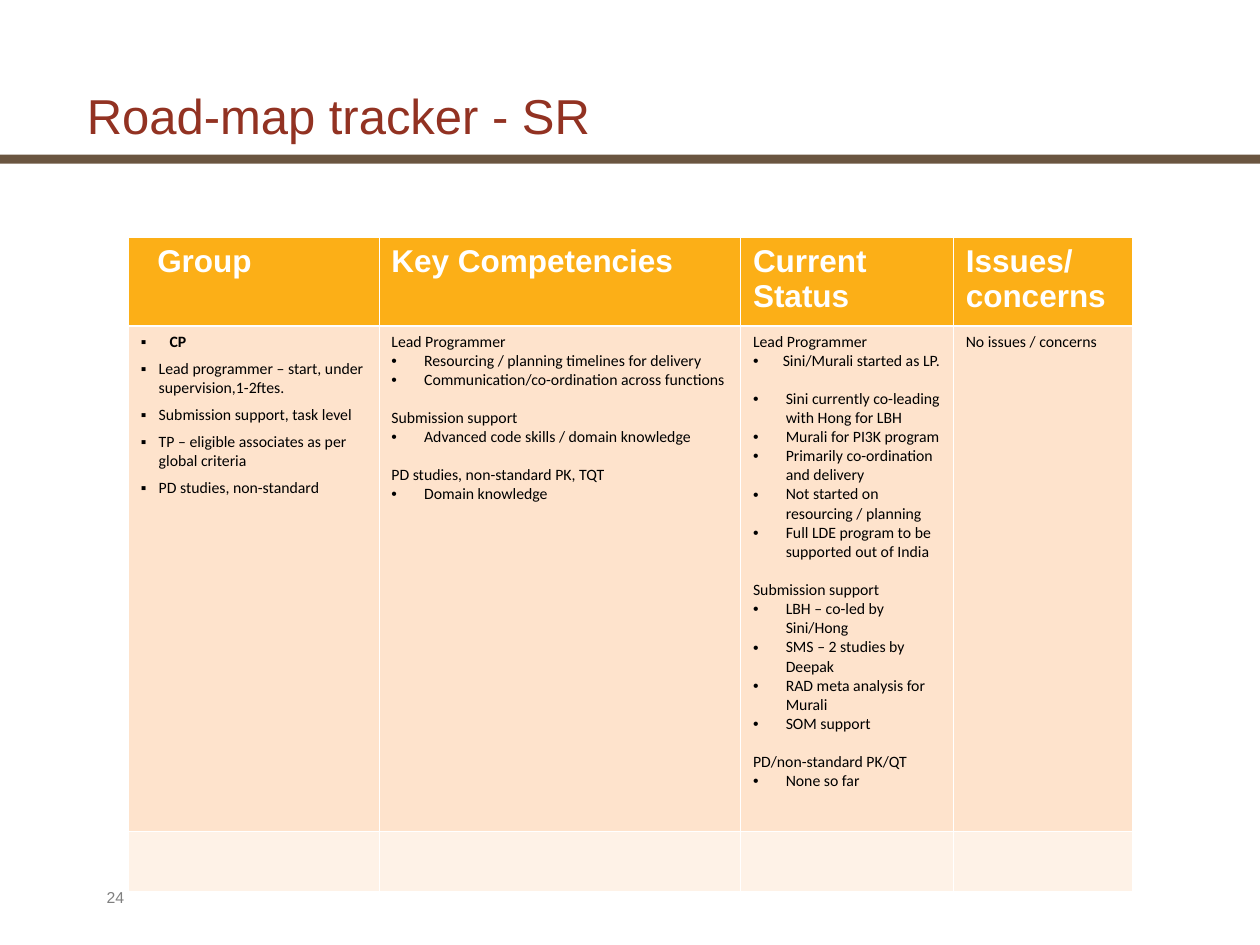
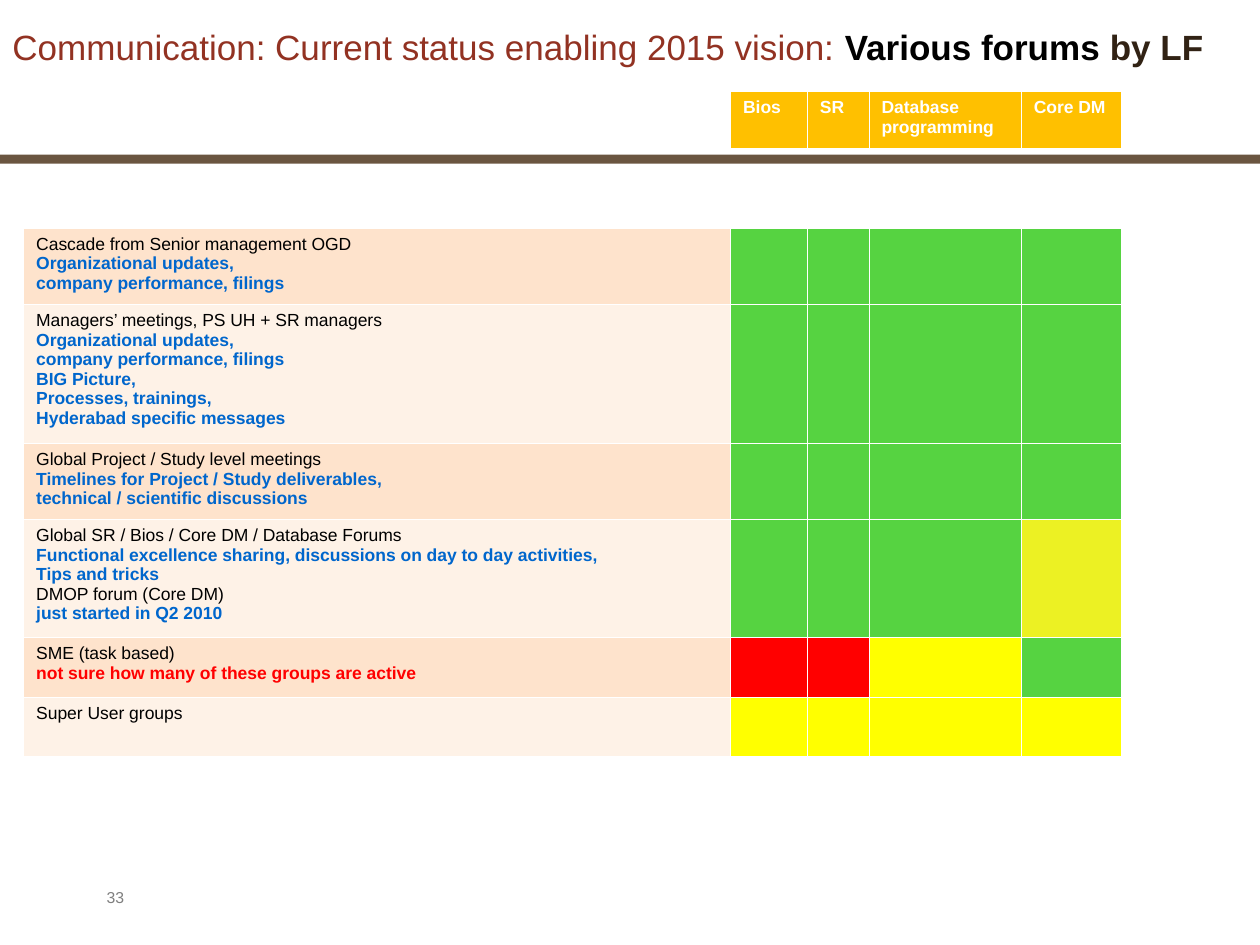
from dataclasses import dataclass
from functools import partial

from lxml import etree
from pptx import Presentation
from pptx.dml.color import RGBColor as Rgb
from pptx.enum.shapes import MSO_SHAPE as Shape
from pptx.enum.text import MSO_ANCHOR as Anchor, MSO_AUTO_SIZE as Fit, PP_ALIGN as Align
from pptx.oxml.ns import qn
from pptx.util import Cm, Pt

COLORS = {
    "white": "FFFFFF", "black": "000000", "title": "923222", "dark": "312214",
    "band": "6A5540", "gray": "7F7F7F", "amber": "FCAF17", "gold": "FFC000",
    "peach": "FEE3CC", "cream": "FEF2E7", "blue": "0066CC", "green": "56D341",
    "lime": "ECF123", "yellow": "FFFF00", "red": "FF0000",
}
GAP = 10.8
THIN, THICK = 0.45, 1.47


@dataclass(frozen=True)
class Line:
    """One paragraph; inset is in centimetres, before and after in points."""
    text: str
    size: float = 9
    color: str = "black"
    bold: bool = False
    font: str = "Arial"
    mark: str = ""
    inset: float = 0
    before: float = 0
    after: float = 0


@dataclass(frozen=True)
class Box:
    """One table cell; without a fill name it stays clear."""
    lines: tuple = ()
    fill: str = ""


@dataclass(frozen=True)
class Grid:
    """Place and track sizes of a table, in centimetres."""
    left: float
    top: float
    cols: tuple
    rows: tuple


def rgb(name: str) -> Rgb:
    return Rgb.from_string(COLORS[name])


def put(para, text: str, *, size: float, color: str = "black",
        bold: bool = False, font: str = "Arial") -> None:
    """Add a formatted run to a paragraph."""
    run = para.add_run()
    run.text = text
    run.font.size = Pt(size)
    run.font.name = font
    run.font.bold = bold
    run.font.color.rgb = rgb(color)


def indent(para, inset: float, mark: str) -> None:
    """Set the left margin and, with a mark, a hanging bullet."""
    props = para._p.get_or_add_pPr()
    props.set("marL", str(Cm(inset)))
    props.set("indent", str(-Cm(inset) if mark else 0))
    if mark:
        etree.SubElement(props, qn("a:buFont"), typeface="Arial")
        etree.SubElement(props, qn("a:buChar"), char=mark)


def write(frame, lines: tuple) -> None:
    for i, line in enumerate(lines):
        para = frame.paragraphs[0] if i == 0 else frame.add_paragraph()
        indent(para, line.inset, line.mark)
        para.alignment = Align.LEFT
        para.space_before = Pt(line.before)
        para.space_after = Pt(line.after)
        put(para, line.text, size=line.size, color=line.color,
            bold=line.bold, font=line.font)


def edge(cell, side: str, width: float) -> None:
    """Draw one white cell border."""
    line = etree.SubElement(cell._tc.get_or_add_tcPr(), qn(f"a:ln{side}"),
                            w=str(Pt(width)))
    fill = etree.SubElement(line, qn("a:solidFill"))
    etree.SubElement(fill, qn("a:srgbClr"), val=COLORS["white"])


def add_grid(slide, grid: Grid, rows: list) -> None:
    frame = slide.shapes.add_table(
        len(grid.rows), len(grid.cols), Cm(grid.left), Cm(grid.top),
        Cm(sum(grid.cols)), Cm(sum(grid.rows)))
    table = frame.table
    for col, width in zip(table.columns, grid.cols):
        col.width = Cm(width)
    for row, height in zip(table.rows, grid.rows):
        row.height = Cm(height)
    for r, row in enumerate(rows):
        for c, box in enumerate(row):
            cell = table.cell(r, c)
            cell.margin_left, cell.margin_right = Cm(0.25), Cm(0.24)
            cell.margin_top = cell.margin_bottom = Cm(0.13)
            edge(cell, "L", THIN)
            edge(cell, "R", THIN)
            edge(cell, "T", THICK if r == 1 else THIN)
            edge(cell, "B", THICK if r == 0 else THIN)
            if box.fill:
                cell.fill.solid()
                cell.fill.fore_color.rgb = rgb(box.fill)
            else:
                cell.fill.background()
            write(cell.text_frame, box.lines)


def add_page(deck, number: str):
    """Start a slide with the shared band and page number."""
    slide = deck.slides.add_slide(deck.slide_layouts[5])
    band = slide.shapes.add_shape(Shape.RECTANGLE, 0, Cm(3.12), Cm(25.4), Cm(0.18))
    band.shadow.inherit = False
    band.fill.solid()
    band.fill.fore_color.rgb = rgb("band")
    band.line.fill.background()
    foot = slide.shapes.add_textbox(Cm(1.9), Cm(17.78), Cm(17.98), Cm(0.69))
    foot.text_frame.word_wrap = True
    write(foot.text_frame, (Line(number, color="gray"),))
    return slide


def set_title(slide, place: tuple, size: float, parts: tuple, anchor, pad: float) -> None:
    """Fill the title from (text, colour, bold) parts; pad is the top and bottom inset."""
    title = slide.shapes.title
    title.left, title.top, title.width, title.height = map(Cm, place)
    frame = title.text_frame
    frame.auto_size = Fit.NONE
    frame.word_wrap = True
    frame.vertical_anchor = anchor
    frame.margin_left = frame.margin_right = Cm(0.25)
    frame.margin_top = frame.margin_bottom = Cm(pad)
    para = frame.paragraphs[0]
    para.alignment = Align.LEFT
    para.line_spacing = 0.95
    for text, color, bold in parts:
        put(para, text, size=size, color=color, bold=bold)


head = partial(Line, size=18, color="white", bold=True)
plain = partial(Line, font="Calibri")
task = partial(plain, mark="▪", inset=0.36, after=4.5)
point = partial(plain, mark="•", inset=0.66)
forum = partial(Line, size=10)
note = partial(forum, color="blue", bold=True)
label = partial(forum, color="white", bold=True)


def add_tracker(deck) -> None:
    slide = add_page(deck, "24")
    set_title(slide, (1.5, 1.7, 23.04, 1.37), 28,
              (("Road-map tracker - SR", "title", False),), Anchor.BOTTOM, 0.13)
    heads = (head("Group", inset=0.33), head("Key Competencies"),
             head("Current Status"), head("Issues/concerns"))
    group = (
        task("CP", bold=True, inset=0.58),
        task("Lead programmer – start, under supervision,1-2ftes."),
        task("Submission support, task level"),
        task("TP – eligible associates as per global criteria"),
        task("PD studies, non-standard"),
    )
    skills = (
        plain("Lead Programmer"),
        point("Resourcing / planning timelines for delivery"),
        point("Communication/co-ordination across functions"),
        plain("Submission support", before=GAP),
        point("Advanced code skills / domain knowledge"),
        plain("PD studies, non-standard PK, TQT", before=GAP),
        point("Domain knowledge"),
    )
    status = (
        plain("Lead Programmer"),
        point("Sini/Murali started as LP.", inset=0.6, after=GAP),
        point("Sini currently co-leading with Hong for LBH"),
        point("Murali for PI3K program"),
        point("Primarily co-ordination and delivery"),
        point("Not started on resourcing / planning"),
        point("Full LDE program to be supported out of India"),
        plain("Submission support", before=GAP),
        point("LBH – co-led by Sini/Hong"),
        point("SMS – 2 studies by Deepak"),
        point("RAD meta analysis for Murali"),
        point("SOM support"),
        plain("PD/non-standard PK/QT", before=GAP),
        point("None so far"),
    )
    issues = (plain("No issues / concerns"),)
    grid = Grid(2.59, 4.78, (5.05, 7.29, 4.29, 3.61), (1.77, 10.19, 1.21))
    add_grid(slide, grid, [
        [Box((line,), "amber") for line in heads],
        [Box(lines, "peach") for lines in (group, skills, status, issues)],
        [Box(fill="cream")] * len(grid.cols),
    ])


def add_forums(deck) -> None:
    slide = add_page(deck, "33")
    set_title(slide, (0, 0.58, 25.1, 1.73), 20, (
        ("Communication: Current status enabling 2015 vision: ", "title", False),
        ("Various forums", "black", True),
        (" by LF", "dark", True),
    ), Anchor.TOP, 0)
    cols = (14.25, 1.55, 1.24, 3.07, 2.01)
    green = ("green",) * 4
    forums = (
        ((forum("Cascade from Senior management OGD"),
          note("Organizational updates,"),
          note("company performance, filings")), green),
        ((forum("Managers’ meetings, PS UH + SR managers"),
          note("Organizational updates,"),
          note("company performance, filings"),
          note("BIG Picture,"),
          note("Processes, trainings,"),
          note("Hyderabad specific messages")), green),
        ((forum("Global Project / Study level meetings"),
          note("Timelines for Project / Study deliverables,"),
          note("technical / scientific discussions")), green),
        ((forum("Global SR / Bios / Core DM / Database Forums"),
          note("Functional excellence sharing, discussions on day to day activities,"),
          note("Tips and tricks"),
          forum("DMOP forum (Core DM)"),
          note("just started in Q2 2010")), green[:3] + ("lime",)),
        ((forum("SME (task based)"),
          note("not sure how many of these groups are active", color="red")),
         ("red", "red", "yellow", "green")),
        ((forum("Super User groups"),), ("yellow",) * 4),
    )
    rows = [[Box()] + [Box(fill="white")] * 4]
    for i, (lines, marks) in enumerate(forums):
        shade = "cream" if i % 2 else "peach"
        rows.append([Box(lines, shade)] + [Box(fill=mark) for mark in marks])
    add_grid(slide, Grid(0.48, 3.35, cols, (1.25, 1.5, 2.8, 1.53, 2.38, 1.2, 1.19)), rows)

    heads = (("Bios",), ("SR",), ("Database", "programming"), ("Core DM",))
    add_grid(slide, Grid(0.48, 1.85, cols, (1.15,)), [
        [Box()] + [Box(tuple(map(label, words)), "gold") for words in heads]])


def main() -> None:
    deck = Presentation()
    deck.slide_width, deck.slide_height = Cm(25.4), Cm(19.05)
    add_tracker(deck)
    add_forums(deck)
    deck.save("out.pptx")


if __name__ == "__main__":
    main()
